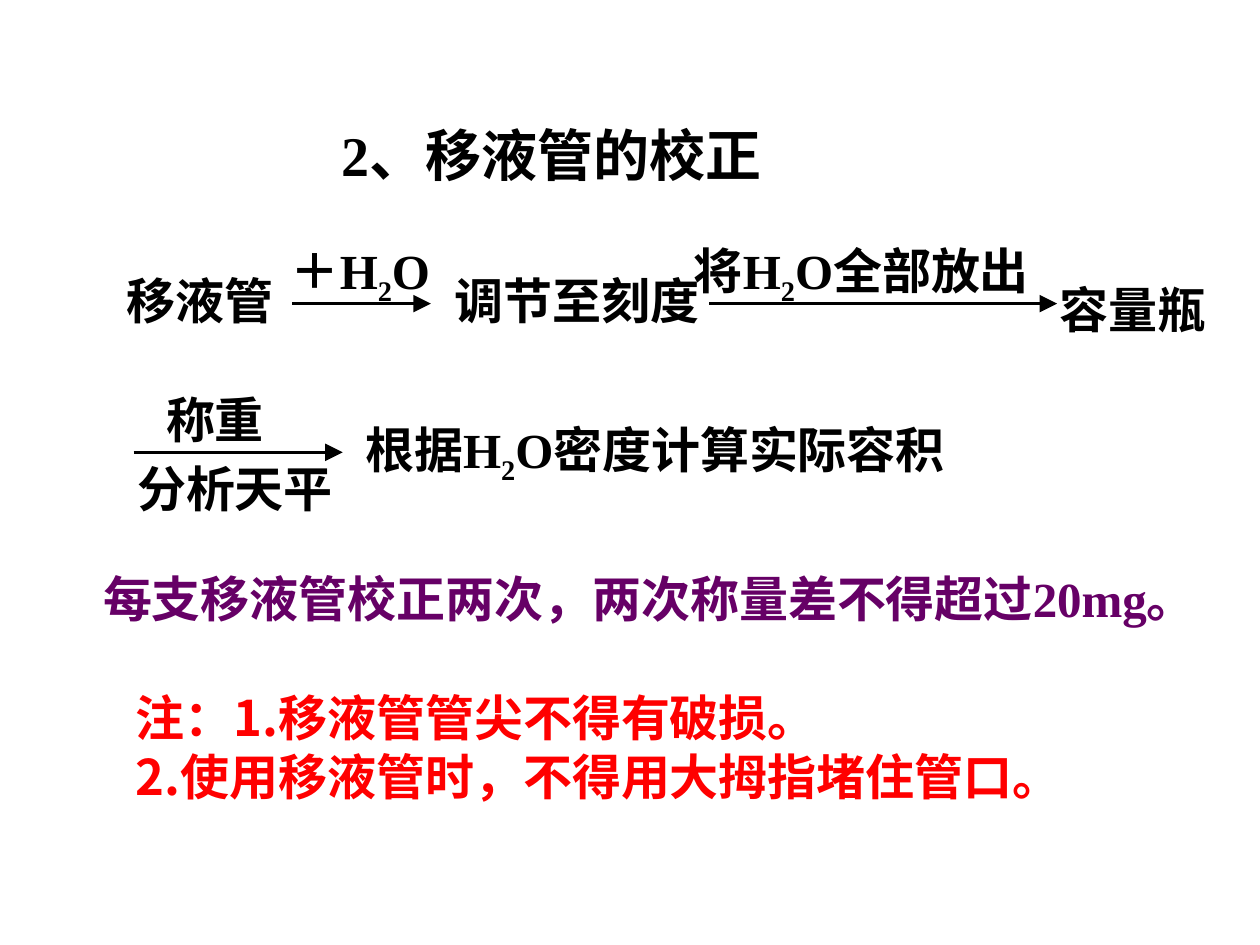
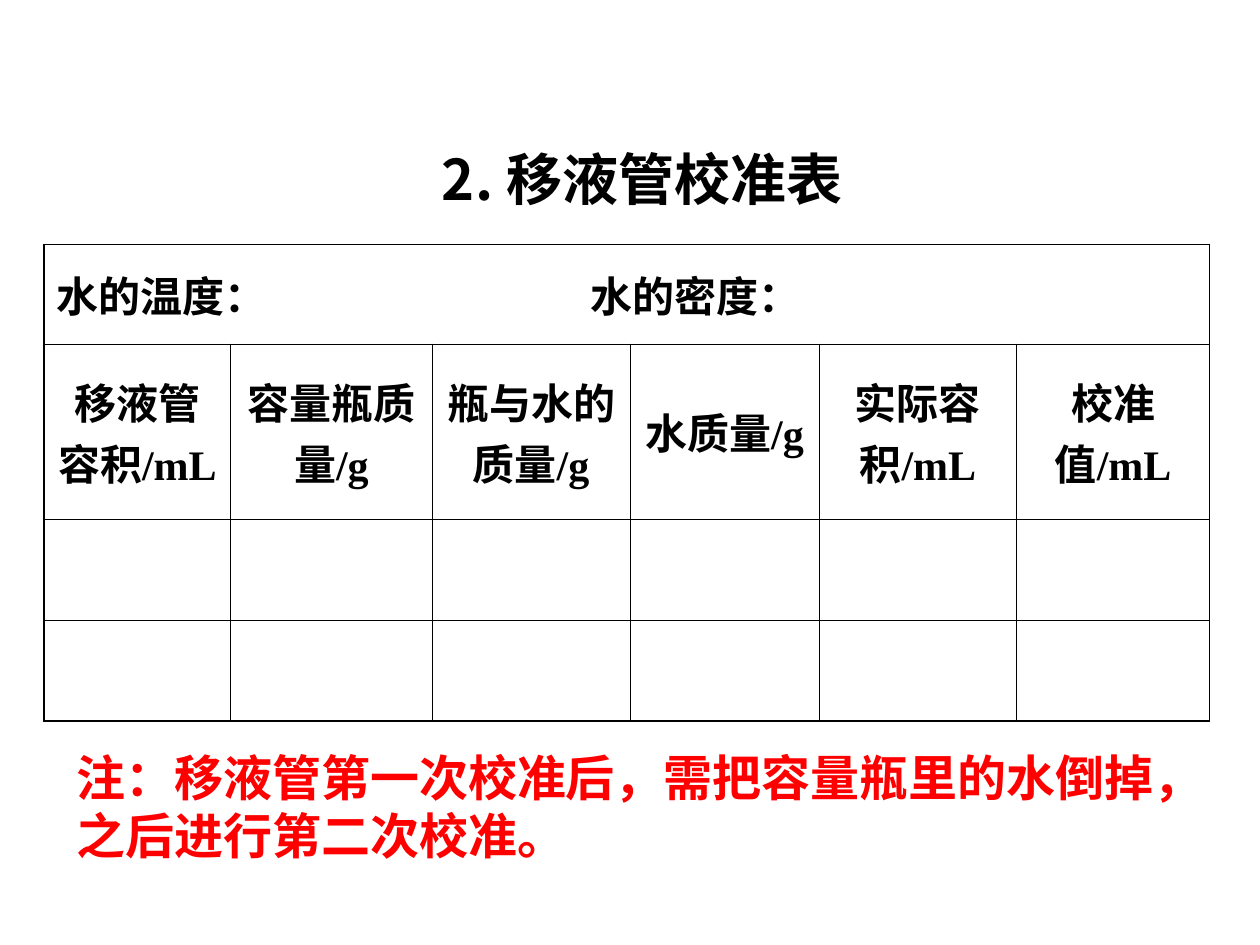
from lxml import etree
from pptx import Presentation
from pptx.dml.color import RGBColor
from pptx.enum.shapes import MSO_CONNECTOR
from pptx.enum.text import MSO_ANCHOR, MSO_AUTO_SIZE, PP_ALIGN
from pptx.oxml.ns import qn
from pptx.util import Inches, Pt

STRAIGHT = MSO_CONNECTOR.STRAIGHT
MIDDLE = MSO_ANCHOR.MIDDLE
GROW = MSO_AUTO_SIZE.SHAPE_TO_FIT_TEXT
LEFT, CENTER = PP_ALIGN.LEFT, PP_ALIGN.CENTER

WIDE, HIGH = Inches(10), Inches(7.5)
COL, ROW = WIDE // 100, HIGH // 75
SERIF, SANS = "Times New Roman", "Noto Sans CJK SC"
BLACK, RED, PURPLE = "000000", "FF0000", "660066"
TITLE, BODY, CELL = 32, 28, 24
THICK, THIN = 1.08, 0.45

HEADS = ["移液管容积/mL", "容量瓶质量/g", "瓶与水的质量/g",
         "水质量/g", "实际容积/mL", "校准值/mL"]
COLS = [14.8, 16, 15.7, 15, 15.7, 15.3]
ROWS = [7.9, 13.9, 8, 8]


def paint(code):
    return RGBColor.from_string(code)


def place(x, y, w, h):
    return int(x * COL), int(y * ROW), int(w * COL), int(h * ROW)


def write(para, text, size=BODY, color=BLACK, face=SERIF):
    for i, part in enumerate(text.split("~")):
        run = para.add_run()
        run.text = part
        if i % 2:
            run._r.get_or_add_rPr().set("baseline", "-25000")
    font = para.font
    font.size, font.bold, font.name = Pt(size), True, face
    font.color.rgb = paint(color)
    base = para._p.pPr.find(qn("a:defRPr"))
    base.find(qn("a:latin")).addnext(
        etree.Element(qn("a:ea"), typeface=SANS))


def label(slide, box, *lines, wrap=False, **style):
    frame = slide.shapes.add_textbox(*place(*box)).text_frame
    frame.word_wrap = wrap
    frame.auto_size = GROW
    for i, line in enumerate(lines):
        para = frame.add_paragraph() if i else frame.paragraphs[0]
        write(para, line, **style)


def heading(slide, box, text, **style):
    label(slide, box, text, size=TITLE, **style)


def remark(slide, box, *lines):
    label(slide, box, *lines, wrap=True, color=RED, face=SANS)


def arrow(slide, x, y, span):
    left, top, width, _ = place(x, y, span, 0)
    line = slide.shapes.add_connector(STRAIGHT, left, top, left + width, top)
    line.line.color.rgb = paint(BLACK)
    line.line.width = Pt(2)
    etree.SubElement(line.line._get_or_add_ln(), qn("a:tailEnd"),
                     type="triangle", w="lg", len="lg")
    etree.SubElement(line._element.spPr, qn("a:effectLst"))


def fill_step(slide, box):
    x, y, w, h = box
    shaft = y + 5.5
    label(slide, (x, y + 2.4, 14, 5.7), "移液管")
    arrow(slide, x + 14.1, shaft, 11)
    label(slide, (x + 13, y, 14.5, 6.3), "＋H~2~O")
    label(slide, (x + 26, y + 2.4, 22, 5.7), "调节至刻度")
    label(slide, (x + 45, y, 31, 6.3), "将H~2~O全部放出")
    arrow(slide, x + 47.2, shaft, 27.6)
    label(slide, (x + w - 14, y + h - 5.7, 14, 5.7), "容量瓶")


def weigh_step(slide, box):
    x, y, w, h = box
    label(slide, (x + 2.3, y, 10, 5.7), "称重")
    arrow(slide, x + 0.7, y + 5.5, 16.6)
    label(slide, (x, y + h - 5.7, 18, 5.7), "分析天平")
    label(slide, (x + w - 50.5, y + 2.4, 50.5, 6.3),
          "根据H~2~O密度计算实际容积")


def border(cell, edges):
    props = cell._tc.get_or_add_tcPr()
    for i, side in enumerate("LRTB"):
        line = etree.Element(qn("a:ln" + side),
                             w=str(Pt(THICK if edges[i] else THIN)))
        fill = etree.SubElement(line, qn("a:solidFill"))
        etree.SubElement(fill, qn("a:srgbClr"), val=BLACK)
        props.insert(i, line)


def enter(cell, text, align):
    para = cell.text_frame.paragraphs[0]
    para.alignment = align
    if "\t" in text:
        tabs = etree.SubElement(para._p.get_or_add_pPr(), qn("a:tabLst"))
        etree.SubElement(tabs, qn("a:tab"), pos=str(int(42.4 * COL)),
                         algn="l")
    write(para, text, size=CELL)


def record(slide, box):
    rows, cols = len(ROWS), len(COLS)
    table = slide.shapes.add_table(rows, cols, *place(*box)).table
    table.first_row = table.horz_banding = False
    for col, size in zip(table.columns, COLS):
        col.width = int(size * COL)
    for row, size in zip(table.rows, ROWS):
        row.height = int(size * ROW)
    for r in range(rows):
        for c in range(cols):
            cell = table.cell(r, c)
            cell.fill.background()
            cell.vertical_anchor = MIDDLE
            border(cell, (c == 0, c == cols - 1, r == 0, r == rows - 1))
    table.cell(0, 0).merge(table.cell(0, cols - 1))
    enter(table.cell(0, 0), "水的温度：\t水的密度：", LEFT)
    for c, head in enumerate(HEADS):
        enter(table.cell(1, c), head, CENTER)


def method(slide):
    heading(slide, (26.1, 9.1, 39.4, 7.5), "2、移液管的校正", wrap=True)
    fill_step(slide, (9.1, 18.6, 88, 8.8))
    weigh_step(slide, (9.9, 30.4, 68.6, 11.2))
    label(slide, (7.2, 44.6, 91, 5.7),
          "每支移液管校正两次，两次称量差不得超过20mg。", color=PURPLE)
    remark(slide, (9.8, 54.1, 81.9, 10.4),
           "注：1.移液管管尖不得有破损。",
           "2.使用移液管时，不得用大拇指堵住管口。")


def results(slide):
    heading(slide, (34.1, 11, 38, 6.4), "2. 移液管校准表", face=SANS)
    record(slide, (3.5, 19.4, sum(COLS), sum(ROWS)))
    remark(slide, (5.1, 58.8, 92.1, 10.4),
           "注：移液管第一次校准后，需把容量瓶里的水倒掉，之后进行第二次校准。")


def main():
    deck = Presentation()
    deck.slide_width, deck.slide_height = WIDE, HIGH
    for build in (method, results):
        build(deck.slides.add_slide(deck.slide_layouts[6]))
    deck.save("out.pptx")


if __name__ == "__main__":
    main()
